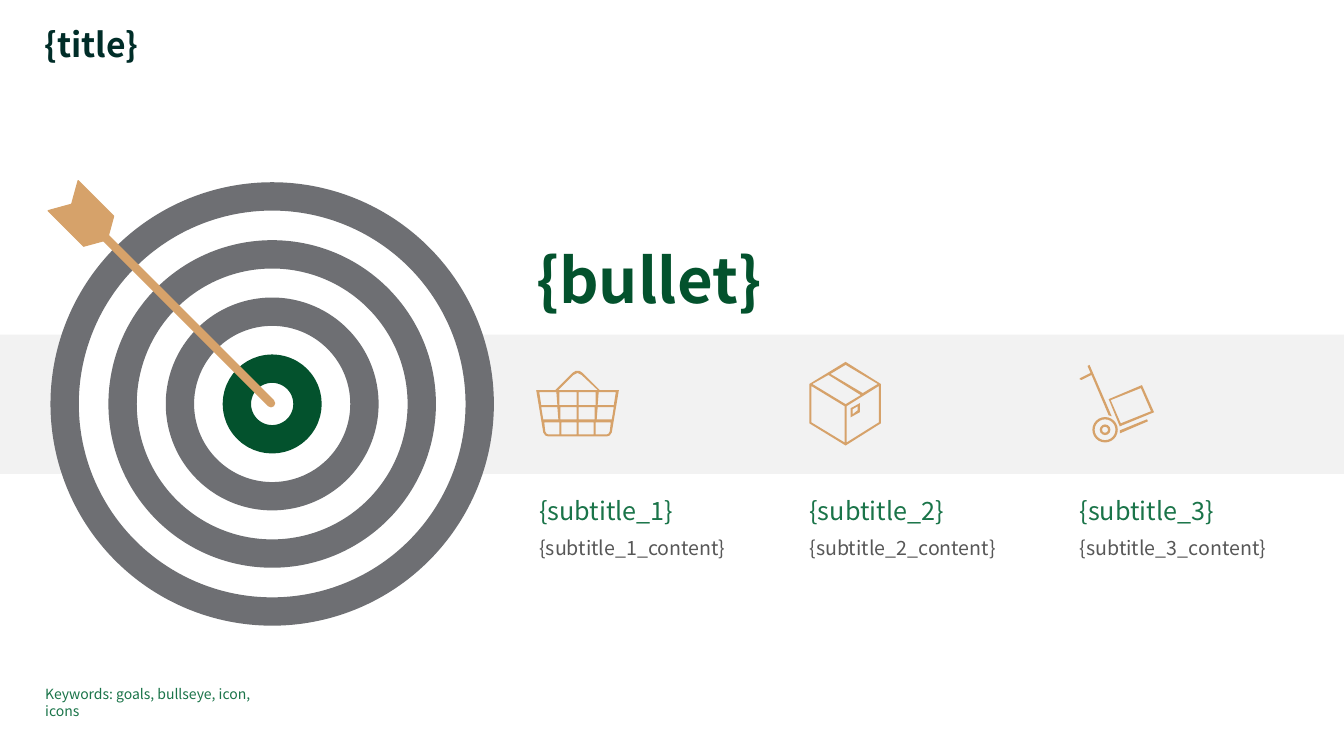
from lxml import etree
from pptx import Presentation
from pptx import util as u
from pptx.dml.color import RGBColor
from pptx.enum import shapes, text
from pptx.oxml import ns

FONT = "Noto Sans CJK JP"
COLOURS = {
    "title": "002D28", "dark_green": "03522D", "green": "1A7449", "body": "575757",
    "ring": "6E6F73", "band": "F2F2F2", "white": "FFFFFF", "gold": "D6A26A",
}
ICON_UNIT = u.Cm(2.54) / 100
TARGET_CENTRE = (6.86, 10.18)
RINGS = [(10.46, "ring"), (7.54, "ring"), (4.65, "ring"), (1.78, "dark_green")]
COLUMN_LEFT, COLUMN_PITCH, COLUMN_WIDTH = 13.59, 6.81, 5.61

BASKET_MIDDLE = 573
BASKET_FRAME = [
    [(595, 387), (578, 370), (575, 368), (571, 368), (568, 370), (551, 387),
     (532, 387), (539, 429), (541, 432), (544, 433), (602, 433), (605, 432),
     (607, 429), (614, 387)],
    [(569, 372), (573, 370), (577, 372), (593, 387), (554, 387)],
]
BASKET_LEFT_CELLS = [
    [(535, 389), (552, 389), (553, 402), (537, 402)],
    [(555, 389), (572, 389), (572, 402), (555, 402)],
    [(537, 404), (553, 404), (554, 416), (539, 416)],
    [(556, 404), (572, 404), (572, 416), (556, 416)],
    [(540, 419), (555, 419), (555, 431), (544, 431), (542, 430), (541, 428)],
    [(557, 419), (572, 419), (572, 431), (557, 431)],
]
BOX = [
    [(839, 359), (803, 381), (803, 420), (839, 442), (874, 420), (874, 381)],
    [(871, 381), (856, 390), (824, 371), (839, 362)],
    [(839, 401), (806, 381), (822, 372), (854, 392)],
    [(805, 383), (838, 403), (838, 439), (805, 419)],
    [(840, 439), (840, 403), (872, 383), (872, 419)],
]
BOX_LABEL = [
    [(844, 405), (844, 414), (853, 409), (853, 400)],
    [(851, 407), (846, 411), (846, 406), (851, 403)],
]
CART_LOAD = [
    [(1145, 409), (1133, 382), (1100, 396), (1111, 423)],
    [(1132, 385), (1142, 408), (1112, 420), (1102, 397)],
]
CART_PLATE = [[(1111, 427), (1111, 430), (1139, 418), (1138, 416)]]
CART_HANDLE = [[(1100, 412), (1103, 413), (1081, 362), (1079, 363), (1082, 370),
                (1072, 375), (1071, 376), (1073, 377), (1083, 372)]]


def colour(name):
    return RGBColor.from_string(COLOURS[name])


def paint(shape, fill, line=None, width=0):
    shape.shadow.inherit = False
    shape.fill.solid()
    shape.fill.fore_color.rgb = colour(fill)
    if line:
        shape.line.color.rgb = colour(line)
        shape.line.width = u.Pt(width)
    else:
        shape.line.fill.background()


def add_preset(slide, preset, left, top, width, height, fill, line=None, line_width=0):
    shape = slide.shapes.add_shape(
        preset, u.Cm(left), u.Cm(top), u.Cm(width), u.Cm(height))
    paint(shape, fill, line, line_width)
    return shape


def add_circle(slide, preset, centre, diameter, fill, line=None, line_width=0):
    left, top = (middle - diameter / 2 for middle in centre)
    return add_preset(slide, preset, left, top, diameter, diameter, fill, line, line_width)


def add_label(slide, content, left, top, width, height, size, ink, bold=False,
              line_spacing=None, space_after=0):
    box = slide.shapes.add_textbox(u.Cm(left), u.Cm(top), u.Cm(width), u.Cm(height))
    frame = box.text_frame
    frame.word_wrap = True
    frame.auto_size = text.MSO_AUTO_SIZE.SHAPE_TO_FIT_TEXT
    frame.margin_left = frame.margin_right = frame.margin_top = frame.margin_bottom = u.Cm(0)
    paragraph = frame.paragraphs[0]
    paragraph.line_spacing = line_spacing
    paragraph.space_after = u.Pt(space_after)
    run = paragraph.add_run()
    run.text = content
    run.font.name = FONT
    run.font.size = u.Pt(size)
    run.font.bold = bold
    run.font.color.rgb = colour(ink)


def add_outline(slide, contours):
    """Draw an icon part: the first contour is filled, later ones are holes."""
    builder = slide.shapes.build_freeform(*contours[0][0], scale=ICON_UNIT)
    builder.add_line_segments(contours[0][1:], close=True)
    for hole in contours[1:]:
        builder.move_to(*hole[0])
        builder.add_line_segments(hole[1:], close=True)
    paint(builder.convert_to_shape(), "gold")


def add_target(slide):
    for diameter, ring_colour in RINGS:
        add_circle(slide, shapes.MSO_SHAPE.OVAL, TARGET_CENTRE, diameter,
                   "white", ring_colour, 20.25)


def add_feather(slide, left, top, flips):
    feather = add_preset(slide, shapes.MSO_SHAPE.PARALLELOGRAM, left, top, 1.57, 0.53,
                         "gold", "gold", 0.85)
    feather.adjustments[0] = 0.57
    feather.rotation = 225
    transform = feather._element.spPr.find(ns.qn("a:xfrm"))
    for flip in flips:
        transform.set(flip, "1")


def add_arrow(slide):
    shaft = slide.shapes.add_connector(
        shapes.MSO_CONNECTOR.STRAIGHT, u.Cm(6.83), u.Cm(10.16), u.Cm(2.18), u.Cm(5.51))
    shaft.line.color.rgb = colour("gold")
    shaft.line.width = u.Pt(6)
    properties = shaft._element.spPr
    properties.find(ns.qn("a:ln")).set("cap", "rnd")
    etree.SubElement(properties, ns.qn("a:effectLst"))
    add_feather(slide, 1.55, 5.03, ["flipH"])
    add_feather(slide, 1.17, 5.41, ["flipH", "flipV"])


def add_icons(slide):
    right_cells = [[(2 * BASKET_MIDDLE - x, y) for x, y in cell]
                   for cell in BASKET_LEFT_CELLS]
    basket = BASKET_FRAME + BASKET_LEFT_CELLS + right_cells
    for part in (BOX, BOX_LABEL, CART_LOAD, CART_PLATE, CART_HANDLE, basket):
        add_outline(slide, part)
    for diameter, thickness in ((0.64, 0.09), (0.27, 0.22)):
        wheel = add_circle(slide, shapes.MSO_SHAPE.DONUT, (27.85, 10.83), diameter, "gold")
        wheel.adjustments[0] = thickness


def add_columns(slide):
    for index in range(3):
        left = COLUMN_LEFT + index * COLUMN_PITCH
        name = f"subtitle_{index + 1}"
        add_label(slide, f"{{{name}}}", left, 12.47, COLUMN_WIDTH, 0.76, 18, "green")
        add_label(slide, f"{{{name}_content}}", left, 13.51, COLUMN_WIDTH, 0.61, 14,
                  "body", space_after=6)


def main():
    presentation = Presentation()
    presentation.slide_width = u.Cm(33.87)
    presentation.slide_height = u.Cm(19.05)
    slide = presentation.slides.add_slide(presentation.slide_layouts[6])
    add_label(slide, "{title}", 1.12, 0.71, 28.02, 0.94, 24, "title", bold=True,
              line_spacing=0.9)
    add_preset(slide, shapes.MSO_SHAPE.RECTANGLE, 0, 8.43, 33.87, 3.51, "band")
    add_target(slide)
    add_label(slide, "{bullet}", 13.51, 6.1, 12.47, 1.88, 44, "dark_green", bold=True)
    add_columns(slide)
    add_icons(slide)
    add_arrow(slide)
    add_label(slide, "Keywords: goals, bullseye, icon, icons", 1.14, 17.27, 5.97, 0.43,
              10, "green", space_after=1.1)
    presentation.save("out.pptx")


if __name__ == "__main__":
    main()
